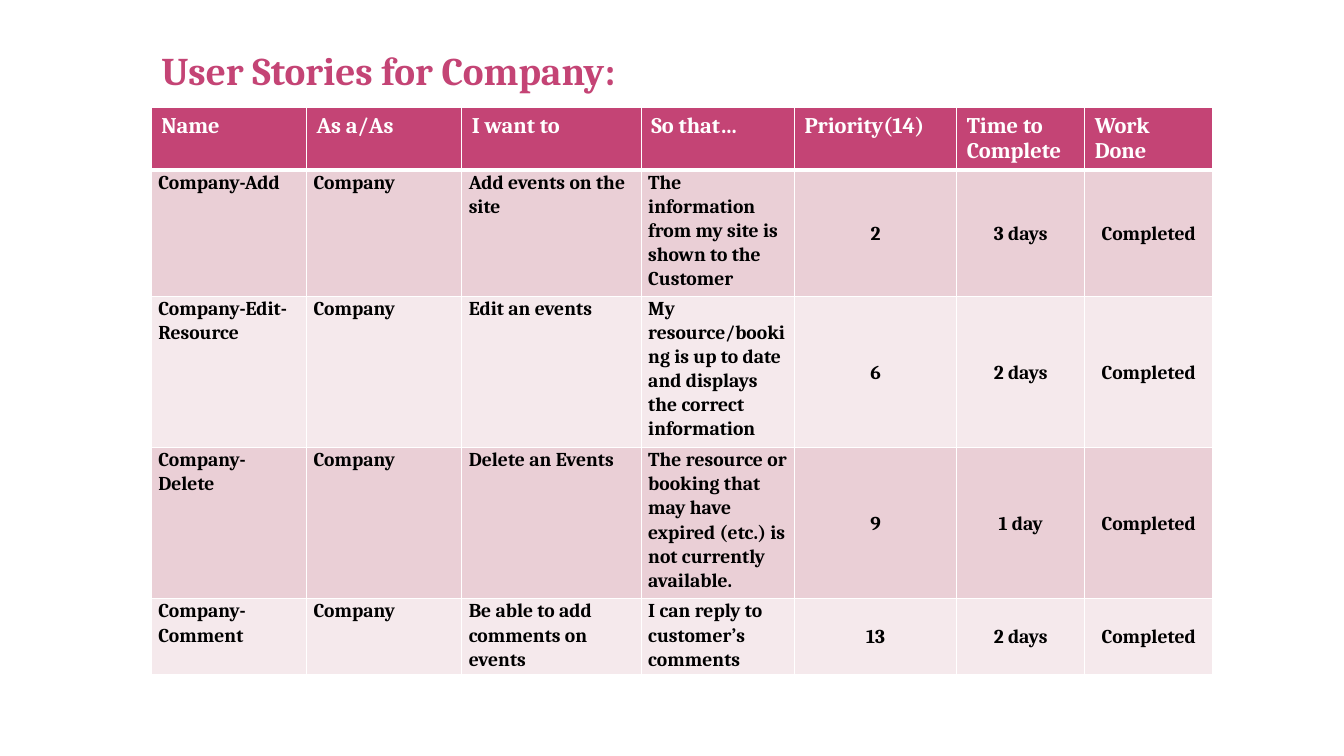
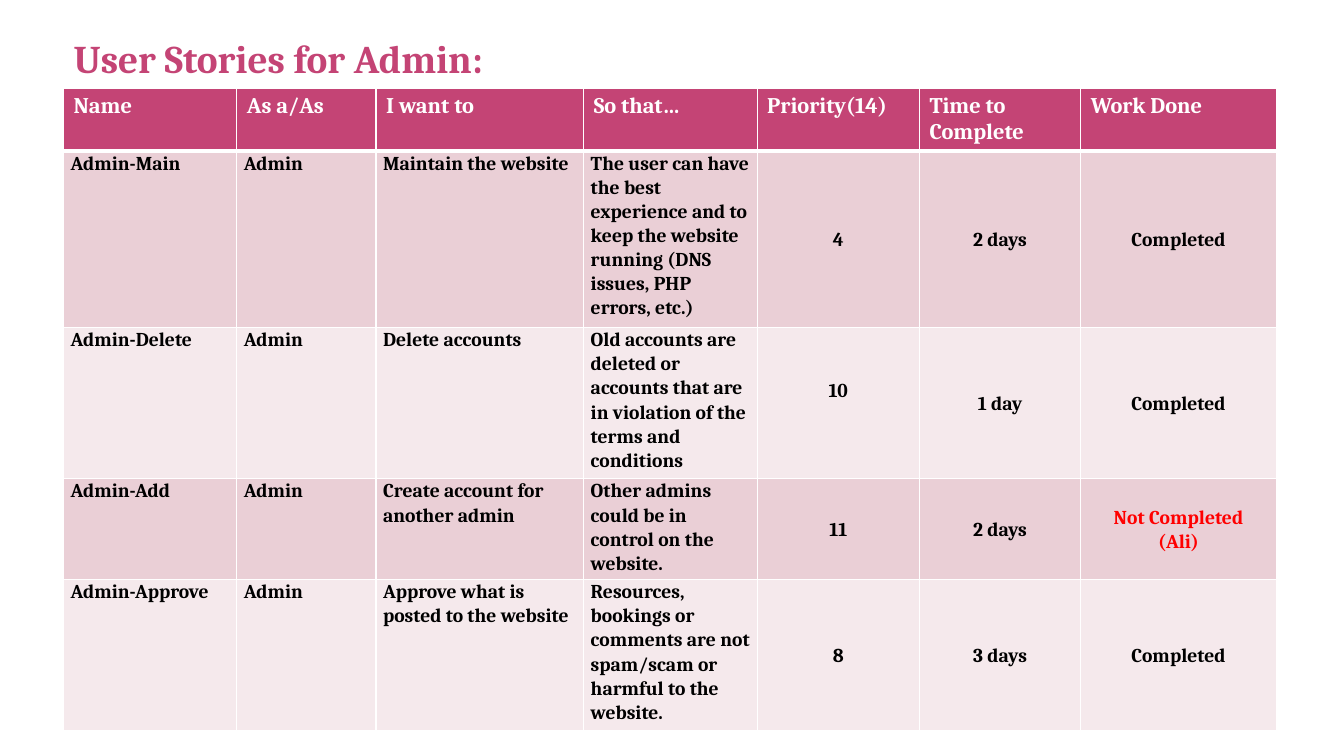
from collections import namedtuple
from dataclasses import dataclass

from lxml import etree
from pptx import Presentation
from pptx.dml.color import RGBColor
from pptx.enum.text import MSO_ANCHOR, MSO_AUTO_SIZE, PP_ALIGN
from pptx.oxml.ns import qn
from pptx.util import Inches, Pt

LEFT, CENTER = PP_ALIGN.LEFT, PP_ALIGN.CENTER
TOP, MIDDLE = MSO_ANCHOR.TOP, MSO_ANCHOR.MIDDLE
NO_AUTOFIT = MSO_AUTO_SIZE.NONE
TITLE_ONLY = 5


@dataclass(frozen=True)
class Theme:
    font: str = "Cambria"
    accent: str = "C44475"
    bands: tuple = ("EACFD6", "F5E9EC")
    paper: str = "FFFFFF"
    ink: str = "000000"
    alert: str = "FF0000"
    title_size: int = 28
    header_size: int = 16
    body_size: int = 14
    body_spacing: float = 1.07
    thin_line: int = 1
    thick_line: int = 3


THEME = Theme()
SLIDE_WIDTH, SLIDE_HEIGHT = 13.33, 7.5
TITLE_HEIGHT = 0.6
HEADER_HEIGHT = 0.62
LINE_HEIGHT = 0.25
HEADER_INSETS = (0.1, 0.05, 0.1, 0.05)
BODY_INSETS = (0.07, 0, 0.07, 0)
FIRST_CENTERED_COLUMN = 4
HEADERS = ("Name", "As a/As", "I want to", "So that…", "Priority(14)",
           "Time to Complete", "Work Done")

Box = namedtuple("Box", "left top width height")
Story = namedtuple("Story", "name wish reason priority time status lines lift",
                   defaults=(0,))
StoryPage = namedtuple("StoryPage", "role left title_top title_width table_top columns stories")

PAGES = (
    StoryPage("Company", 1.5, 0.41, 5.06, 1.07,
              (1.54, 1.54, 1.78, 1.52, 1.61, 1.27, 1.27), (
        Story("Company-Add", "Add events on the site",
              "The information from my site is shown to the Customer",
              "2", "3 days", "Completed", 5),
        Story("Company-Edit-Resource", "Edit an events",
              "My resource/booking is up to date and displays the correct information",
              "6", "2 days", "Completed", 6),
        Story("Company-Delete", "Delete an Events",
              "The resource or booking that may have expired (etc.) is not currently available.",
              "9", "1 day", "Completed", 6),
        Story("Company-Comment", "Be able to add comments on events",
              "I can reply to customer’s comments",
              "13", "2 days", "Completed", 3),
    )),
    StoryPage("Admin", 0.63, 0.29, 5.65, 0.88,
              (1.72, 1.38, 2.06, 1.72, 1.61, 1.6, 1.94), (
        Story("Admin-Main", "Maintain the website",
              "The user can have the best experience and to keep the website running "
              "(DNS issues, PHP errors, etc.)",
              "4", "2 days", "Completed", 7),
        Story("Admin-Delete", "Delete accounts",
              "Old accounts are deleted or accounts that are in violation of the terms "
              "and conditions",
              "10", "1 day", "Completed", 6, lift=LINE_HEIGHT),
        Story("Admin-Add", "Create account for another admin",
              "Other admins could be in control on the website.",
              "11", "2 days", "Not Completed\n(Ali)", 4),
        Story("Admin-Approve", "Approve what is posted to the website",
              "Resources, bookings or comments are not spam/scam or harmful to the website.",
              "8", "3 days", "Completed", 6),
    )),
)


def write_text(frame, text, *, size, color, align=LEFT, spacing=1.0):
    frame.word_wrap = True
    for index, line in enumerate(text.split("\n")):
        para = frame.add_paragraph() if index else frame.paragraphs[0]
        para.alignment = align
        para.line_spacing = spacing
        span = para.add_run()
        span.text = line
        span.font.name = THEME.font
        span.font.size = Pt(size)
        span.font.bold = True
        span.font.color.rgb = RGBColor.from_string(color)


def set_borders(cell, bottom):
    properties = cell._tc.get_or_add_tcPr()
    widths = {"L": THEME.thin_line, "R": THEME.thin_line, "T": THEME.thin_line, "B": bottom}
    for side, width in widths.items():
        line = etree.SubElement(properties, qn(f"a:ln{side}"), w=str(Pt(width)))
        fill = etree.SubElement(line, qn("a:solidFill"))
        etree.SubElement(fill, qn("a:srgbClr"), val=THEME.paper)


def format_cell(cell, text, *, fill, insets, bottom, anchor=TOP, **text_format):
    set_borders(cell, bottom)
    cell.fill.solid()
    cell.fill.fore_color.rgb = RGBColor.from_string(fill)
    (cell.margin_left, cell.margin_top,
     cell.margin_right, cell.margin_bottom) = map(Inches, insets)
    cell.vertical_anchor = anchor
    write_text(cell.text_frame, text, **text_format)


def place_title(page, box, text):
    title = page.shapes.title
    title.left, title.top, title.width, title.height = map(Inches, box)
    frame = title.text_frame
    frame.auto_size = NO_AUTOFIT
    frame.vertical_anchor = TOP
    write_text(frame, text, size=THEME.title_size, color=THEME.accent)


def fill_header(table):
    for cell, text in zip(table.rows[0].cells, HEADERS):
        format_cell(cell, text, fill=THEME.accent, insets=HEADER_INSETS,
                    bottom=THEME.thick_line, size=THEME.header_size, color=THEME.paper)


def fill_story(row, role, story, band):
    values = (story.name, role, story.wish, story.reason,
              story.priority, story.time, story.status)
    for column, (cell, text) in enumerate(zip(row.cells, values)):
        centered = column >= FIRST_CENTERED_COLUMN
        lift = story.lift if column == FIRST_CENTERED_COLUMN else 0
        format_cell(cell, text, fill=band, insets=(*BODY_INSETS[:3], lift),
                    bottom=THEME.thin_line, anchor=MIDDLE if centered else TOP,
                    size=THEME.body_size, spacing=THEME.body_spacing,
                    color=THEME.alert if text.startswith("Not ") else THEME.ink,
                    align=CENTER if centered else LEFT)


def place_table(page, box, content, heights):
    frame = page.shapes.add_table(len(heights), len(HEADERS), *map(Inches, box))
    table = frame.table
    table.horz_banding = False
    for column, width in zip(table.columns, content.columns):
        column.width = Inches(width)
    for row, height in zip(table.rows, heights):
        row.height = Inches(height)
    fill_header(table)
    for index, story in enumerate(content.stories):
        band = THEME.bands[index % len(THEME.bands)]
        fill_story(table.rows[index + 1], content.role, story, band)


def build_story_page(deck, content):
    page = deck.slides.add_slide(deck.slide_layouts[TITLE_ONLY])
    heights = [HEADER_HEIGHT] + [story.lines * LINE_HEIGHT for story in content.stories]
    title_box = Box(content.left, content.title_top, content.title_width, TITLE_HEIGHT)
    table_box = Box(content.left, content.table_top, sum(content.columns), sum(heights))
    place_title(page, title_box, f"User Stories for {content.role}:")
    place_table(page, table_box, content, heights)


def main():
    deck = Presentation()
    deck.slide_width, deck.slide_height = Inches(SLIDE_WIDTH), Inches(SLIDE_HEIGHT)
    for content in PAGES:
        build_story_page(deck, content)
    deck.save("out.pptx")


if __name__ == "__main__":
    main()
